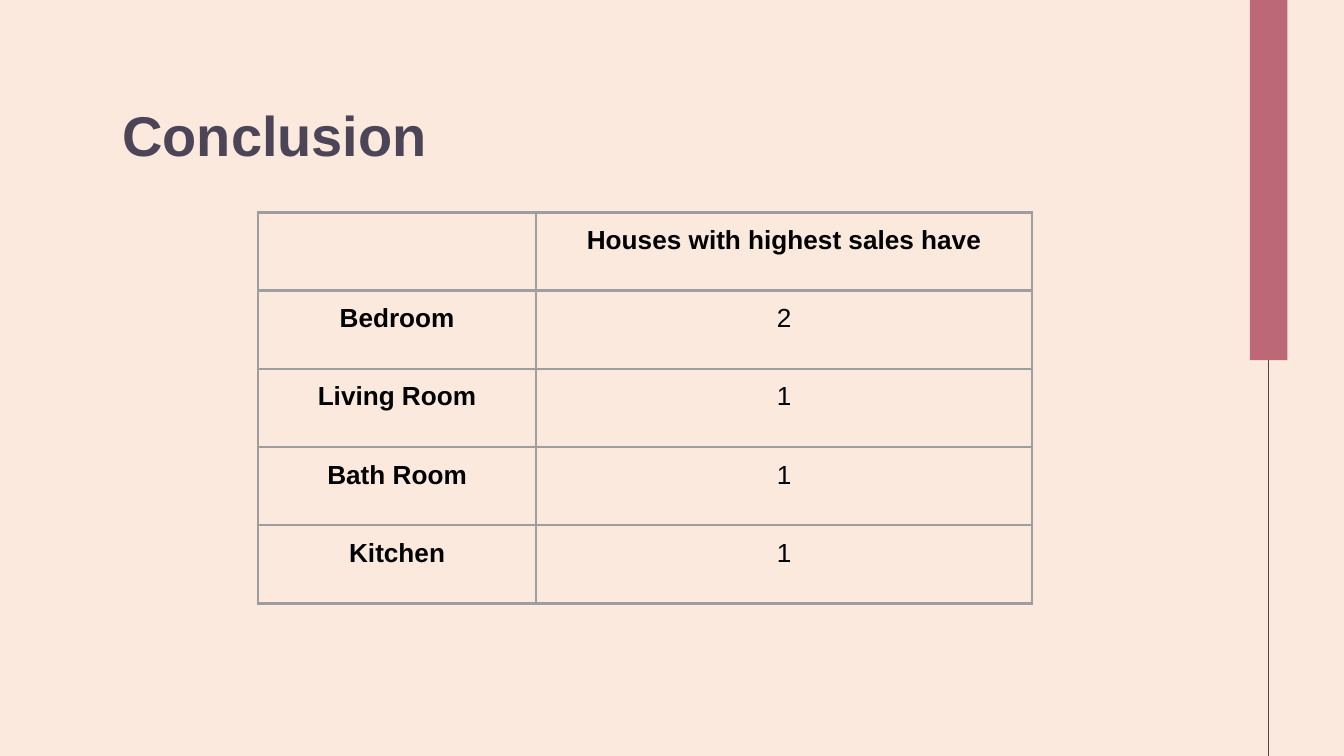
"""Build a conclusion slide with a title, a table of room counts and a side ribbon."""
from typing import NamedTuple

from lxml.etree import SubElement
from pptx import Presentation
from pptx.dml.color import RGBColor
from pptx.enum.shapes import MSO_CONNECTOR, MSO_SHAPE
from pptx.enum.text import MSO_ANCHOR as Anchor, PP_ALIGN as Align
from pptx.oxml.ns import qn
from pptx.util import Inches, Pt

COLORS = {"paper": "FAE9DC", "ink": "4C4557", "ribbon": "BD6877",
          "grid": "9E9E9E", "text": "000000"}
WIDTH = Inches(10)
HEIGHT = WIDTH * 9 // 16
COLUMN_WIDTHS = (2.07, 3.69)
TABLE_HEIGHT = 2.91
INSETS = dict.fromkeys(
    ("margin_left", "margin_top", "margin_right", "margin_bottom"), Inches(0.1))


class Row(NamedTuple):
    label: str
    value: str


ROWS = (
    Row("", "Houses with highest sales have"),
    Row("Bedroom", "2"),
    Row("Living Room", "1"),
    Row("Bath Room", "1"),
    Row("Kitchen", "1"),
)


def color(name: str) -> RGBColor:
    return RGBColor.from_string(COLORS[name])


def apply(target, **values) -> None:
    for name, value in values.items():
        setattr(target, name, value)


def write(frame, text: str, size: float, ink: str, bold: bool, align: Align) -> None:
    para = frame.paragraphs[0]
    para.alignment = align
    span = para.add_run() if text else para
    if text:
        span.text = text
    apply(span.font, name="Arial", size=Pt(size), bold=bold)
    span.font.color.rgb = color(ink)


def add_ribbon(page) -> None:
    center, width = 0.944, 0.028
    line = page.shapes.add_connector(
        MSO_CONNECTOR.STRAIGHT, int(WIDTH * center), 0, int(WIDTH * center), HEIGHT)
    line.line.color.rgb = color("ink")
    line.line.width = Pt(0.75)
    SubElement(line._element.spPr, qn("a:effectLst"))
    ribbon = page.shapes.add_shape(
        MSO_SHAPE.RECTANGLE, int(WIDTH * (center - width / 2)), 0,
        int(WIDTH * width), Inches(2.68))
    ribbon.shadow.inherit = False
    ribbon.fill.solid()
    ribbon.fill.fore_color.rgb = color("ribbon")
    ribbon.line.fill.background()


def add_title(page, text: str) -> None:
    title = page.shapes.title
    apply(title, left=Inches(0.81), top=Inches(0.65),
          width=Inches(3.28), height=Inches(0.71))
    apply(title.text_frame, word_wrap=True, vertical_anchor=Anchor.TOP, **INSETS)
    write(title.text_frame, text, 30, "ink", True, Align.LEFT)


def add_borders(cell) -> None:
    properties = cell._tc.get_or_add_tcPr()
    for index, side in enumerate(("lnL", "lnR", "lnT", "lnB")):
        border = properties.makeelement(qn(f"a:{side}"), {"w": str(Pt(1.5))})
        properties.insert(index, border)
        fill = SubElement(border, qn("a:solidFill"))
        SubElement(fill, qn("a:srgbClr"), val=COLORS["grid"])


def add_room_table(page, rows: tuple[Row, ...]) -> None:
    table = page.shapes.add_table(
        len(rows), len(COLUMN_WIDTHS), Inches(1.92), Inches(1.58),
        Inches(sum(COLUMN_WIDTHS)), Inches(TABLE_HEIGHT)).table
    apply(table, first_row=False, horz_banding=False)
    for column, width in zip(table.columns, COLUMN_WIDTHS):
        column.width = Inches(width)
    for row_index, row in enumerate(rows):
        for column_index, text in enumerate(row):
            cell = table.cell(row_index, column_index)
            apply(cell, vertical_anchor=Anchor.TOP, **INSETS)
            cell.fill.background()
            add_borders(cell)
            is_heading = row_index == 0 or column_index == 0
            write(cell.text_frame, text, 14, "text", is_heading, Align.CENTER)


def main() -> None:
    deck = Presentation()
    apply(deck, slide_width=WIDTH, slide_height=HEIGHT)
    page = deck.slides.add_slide(deck.slide_layouts.get_by_name("Title Only"))
    page.background.fill.solid()
    page.background.fill.fore_color.rgb = color("paper")
    add_ribbon(page)
    add_title(page, "Conclusion")
    add_room_table(page, ROWS)
    deck.save("out.pptx")


if __name__ == "__main__":
    main()
